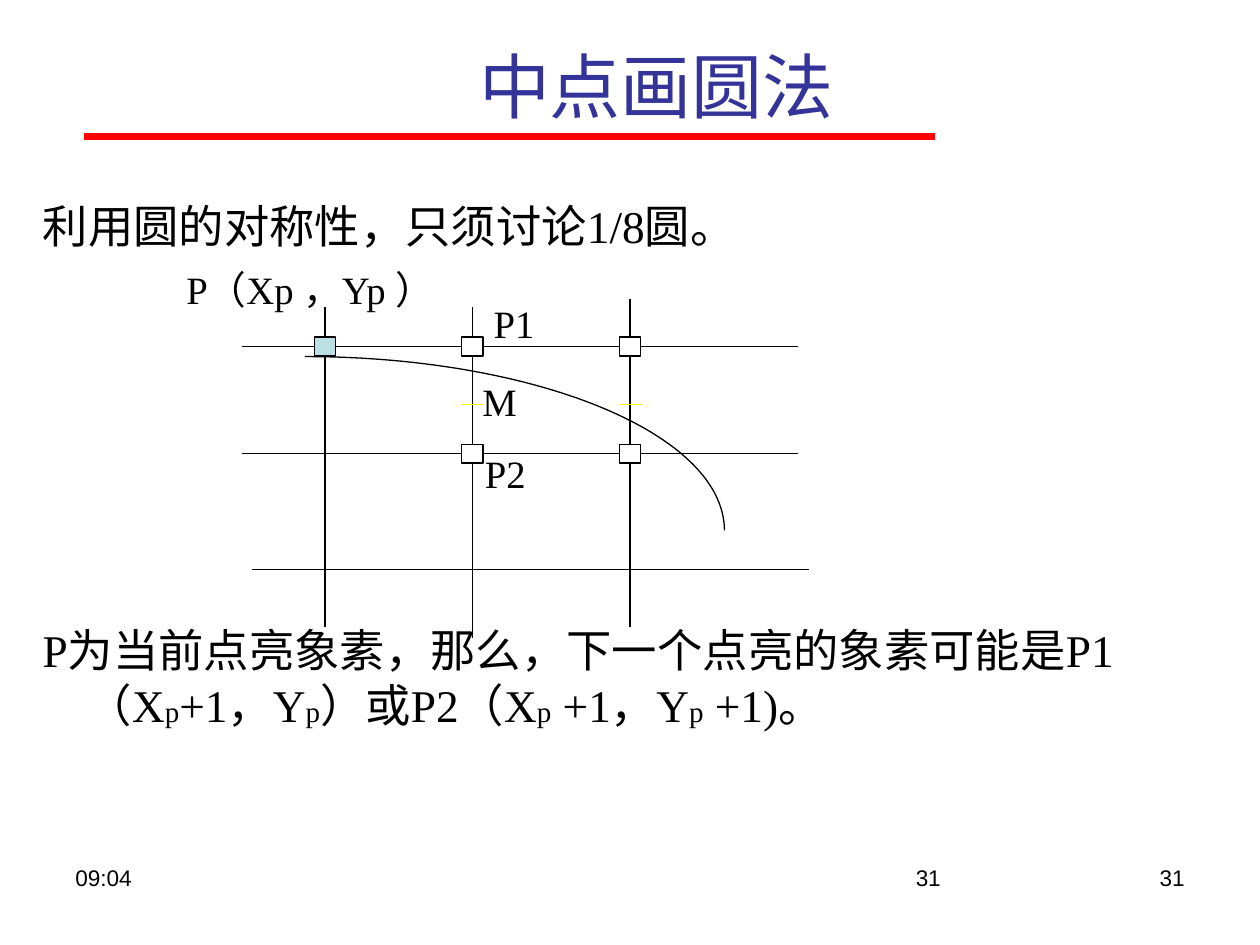
"""Build the slide on the midpoint circle drawing method."""
from math import cos, pi, sin

from lxml.etree import SubElement
from pptx import Presentation
from pptx.dml.color import RGBColor
from pptx.enum.shapes import MSO_CONNECTOR, MSO_SHAPE
from pptx.enum.text import MSO_ANCHOR, PP_ALIGN
from pptx.oxml.ns import qn
from pptx.util import Inches, Pt

BLACK = RGBColor(0, 0, 0)
WHITE = RGBColor(255, 255, 255)
RED = RGBColor(255, 0, 0)
YELLOW = RGBColor(255, 255, 0)
NAVY = RGBColor(0x33, 0x33, 0x99)
LIT = RGBColor(0xBB, 0xE0, 0xE3)

TITLE = {"name": "Arial", "size": Pt(40.6), "color": NAVY}
BODY = {"name": "Times New Roman", "size": Pt(25.9), "color": BLACK}
INDEX = {**BODY, "size": Pt(16.6)}
LABEL = {**BODY, "size": Pt(22.1)}
FOOTER = {"name": "Arial", "size": Pt(12.9), "color": BLACK}

BODY_TEXTS = [
    ((0.24, 1.52, 9.01, 0.55), ["利用圆的对称性，只须讨论1/8圆。"]),
    ((0.24, 4.89, 9.01, 1.05),
     ["P为当前点亮象素，那么，下一个点亮的象素可能是P1（X", "p", "+1，Y", "p",
      "）或P2（X", "p", " +1，Y", "p", " +1)。"]),
]
LABELS = [
    ("M", (3.73, 2.95, 0.48, 0.47), False),
    ("P1", (3.82, 2.33, 0.53, 0.47), False),
    ("P2", (3.75, 3.52, 0.53, 0.47), False),
    ("P（Xp ，Yp ）", (1.38, 2.06, 2.19, 0.47), True),
]
FOOTERS = [
    ("09:04", 0.5, PP_ALIGN.LEFT),
    ("31", 7.17, PP_ALIGN.LEFT),
    ("31", 7.17, PP_ALIGN.RIGHT),
]
ROWS = [(2.75, 1.92, 6.33), (3.6, 1.92, 6.33), (4.52, 2, 6.42)]
COLUMNS = [(2.58, 2.44, 4.98), (3.75, 2.44, 5.06), (5, 2.37, 4.98)]
MIDPOINTS = [(3.75, 3.21), (5, 3.21)]
PIXELS = [(3.75, 2.75, WHITE), (5, 2.75, WHITE), (5, 3.6, WHITE),
          (3.75, 3.6, WHITE), (2.58, 2.75, LIT)]
PIXEL_WIDTH, PIXEL_HEIGHT = 0.17, 0.15
ARC_CENTER, ARC_RADII, ARC_STEPS = (2.42, 4.21), (3.33, 1.38), 60


def add_line(slide, start, end, color=BLACK, width=0.75):
    ends = [Inches(value) for value in (*start, *end)]
    line = slide.shapes.add_connector(MSO_CONNECTOR.STRAIGHT, *ends)
    line.line.color.rgb = color
    line.line.width = Pt(width)
    SubElement(line._element.spPr, qn("a:effectLst"))


def add_text(slide, box, runs, align=PP_ALIGN.LEFT, wrap=True,
             anchor=MSO_ANCHOR.TOP, hanging=0):
    shape = slide.shapes.add_textbox(*map(Inches, box))
    frame = shape.text_frame
    frame.word_wrap = wrap
    frame.vertical_anchor = anchor
    paragraph = frame.paragraphs[0]
    paragraph.alignment = align
    if hanging:
        properties = paragraph._p.get_or_add_pPr()
        properties.set("marL", str(Inches(hanging)))
        properties.set("indent", str(-Inches(hanging)))
    for text, style in runs:
        run = paragraph.add_run()
        run.text = text
        for key, value in style.items():
            if key == "color":
                run.font.color.rgb = value
            else:
                setattr(run.font, key, value)


def outline(shape):
    shape.shadow.inherit = False
    shape.line.color.rgb = BLACK
    shape.line.width = Pt(0.75)


def add_arc(slide):
    angles = [pi / 2 * step / ARC_STEPS for step in range(ARC_STEPS + 1)]
    points = [(Inches(ARC_CENTER[0] + ARC_RADII[0] * sin(angle)),
               Inches(ARC_CENTER[1] - ARC_RADII[1] * cos(angle)))
              for angle in angles]
    builder = slide.shapes.build_freeform(*points[0])
    builder.add_line_segments(points[1:], close=False)
    arc = builder.convert_to_shape()
    arc.fill.background()
    outline(arc)


def add_pixel(slide, x, y, color):
    box = (x - PIXEL_WIDTH / 2, y - PIXEL_HEIGHT / 2, PIXEL_WIDTH, PIXEL_HEIGHT)
    pixel = slide.shapes.add_shape(MSO_SHAPE.RECTANGLE, *map(Inches, box))
    pixel.fill.solid()
    pixel.fill.fore_color.rgb = color
    outline(pixel)


def main():
    presentation = Presentation()
    presentation.slide_width = Inches(10)
    presentation.slide_height = Inches(7.5)
    slide = presentation.slides.add_slide(presentation.slide_layouts[6])

    add_line(slide, (0.67, 1.08), (7.42, 1.08), RED, 4)
    add_text(slide, (1.25, 0.29, 7.92, 0.77), [("中点画圆法", TITLE)],
             align=PP_ALIGN.CENTER, anchor=MSO_ANCHOR.MIDDLE)
    for box, texts in BODY_TEXTS:
        runs = [(text, INDEX if text == "p" else BODY) for text in texts]
        add_text(slide, box, runs, hanging=0.35)

    for y, left, right in ROWS:
        add_line(slide, (left, y), (right, y))
    for x, top, bottom in COLUMNS:
        add_line(slide, (x, top), (x, bottom))
    add_arc(slide)
    for x, y in MIDPOINTS:
        add_line(slide, (x - PIXEL_WIDTH / 2, y), (x + PIXEL_WIDTH / 2, y), YELLOW)
    for pixel in PIXELS:
        add_pixel(slide, *pixel)

    for text, box, wrap in LABELS:
        add_text(slide, box, [(text, LABEL)], wrap=wrap)
    for text, left, align in FOOTERS:
        add_text(slide, (left, 6.81, 2.33, 0.32), [(text, FOOTER)], align=align)

    presentation.save("out.pptx")


if __name__ == "__main__":
    main()
